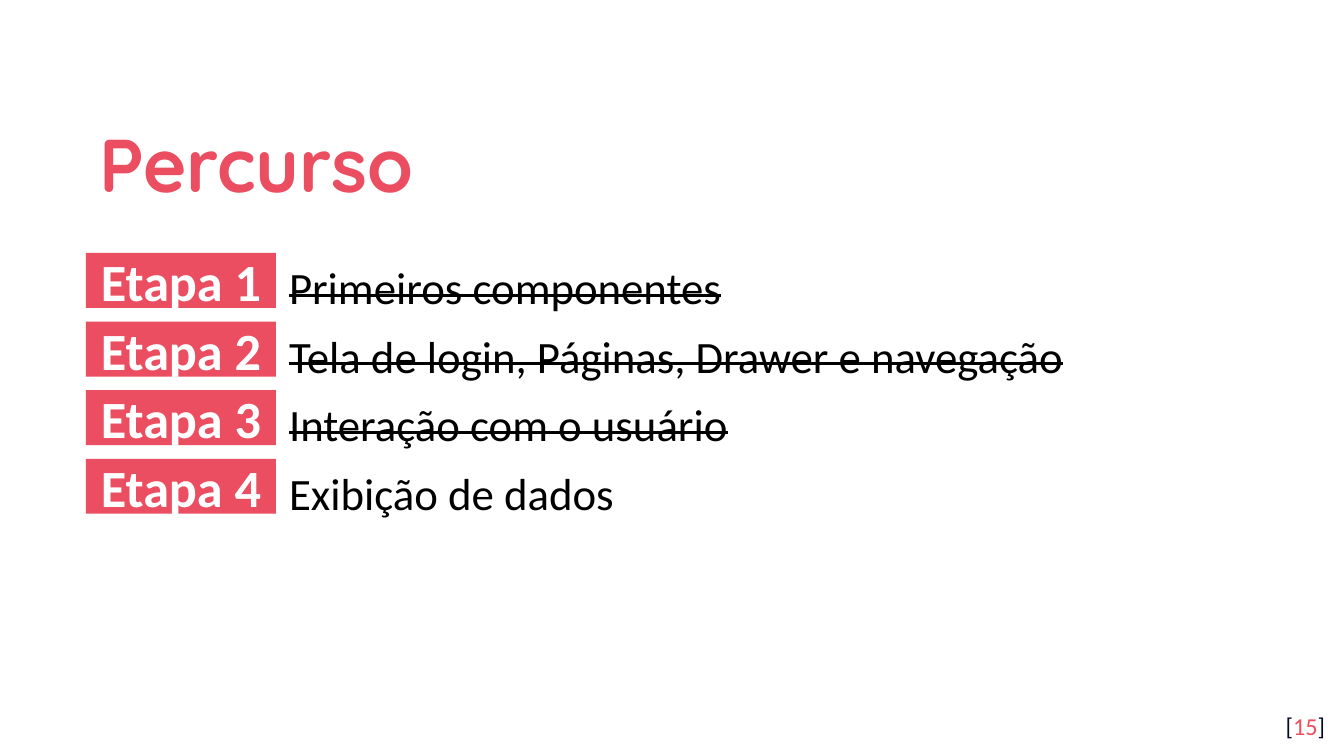
from pptx import Presentation
from pptx.dml.color import RGBColor
from pptx.enum.shapes import MSO_SHAPE
from pptx.enum.text import MSO_ANCHOR, PP_ALIGN
from pptx.util import Pt

SCALE = 914400 / 134.4
COLORS = {"coral": "EA4E60", "navy": "040A24", "black": "000000", "white": "FFFFFF"}
LEFT = 86
FIRST_TOP = 253
STAGE_PITCH = 68.6
BADGE_WIDTH = 190
STAGES = [
    ("Primeiros componentes", True),
    ("Tela de login, Páginas, Drawer e navegação", True),
    ("Interação com o usuário", True),
    ("Exibição de dados", False),
]


def px(value):
    return round(value * SCALE)


def color(name):
    return RGBColor.from_string(COLORS[name])


def write(frame, runs, size, font="Calibri", bold=False, align=PP_ALIGN.LEFT,
          anchor=MSO_ANCHOR.TOP, inset=13, wrap=True):
    frame.word_wrap = wrap
    frame.vertical_anchor = anchor
    frame.margin_left = frame.margin_right = px(13)
    frame.margin_top = frame.margin_bottom = px(inset)
    paragraph = frame.paragraphs[0]
    paragraph.alignment = align
    paragraph.font.name = font
    paragraph.font.size = Pt(size)
    paragraph.font.bold = bold
    for text, ink in runs:
        run = paragraph.add_run()
        run.text = text
        run.font.color.rgb = color(ink)
    return paragraph


def add_text(slide, box, runs, size, **style):
    frame = slide.shapes.add_textbox(*map(px, box)).text_frame
    return write(frame, runs, size, **style)


def add_badge(slide, top, label):
    badge = slide.shapes.add_shape(
        MSO_SHAPE.RECTANGLE, px(LEFT), px(top), px(BADGE_WIDTH), px(55))
    badge.shadow.inherit = False
    badge.fill.solid()
    badge.fill.fore_color.rgb = color("coral")
    badge.line.fill.background()
    write(badge.text_frame, [(label, "white")], 28, bold=True,
          align=PP_ALIGN.CENTER, anchor=MSO_ANCHOR.MIDDLE, wrap=False)


def add_stage(slide, index, topic, done):
    top = FIRST_TOP + index * STAGE_PITCH
    add_badge(slide, top, f"Etapa {index + 1}")
    description = add_text(slide, (LEFT + BADGE_WIDTH, top, 927, 58),
                           [(topic, "black")], 24, inset=7)
    if done:
        description.runs[0].font._element.set("strike", "sngStrike")


def main():
    deck = Presentation()
    deck.slide_width, deck.slide_height = px(1344), px(756)
    slide = deck.slides.add_slide(deck.slide_layouts[6])
    title = add_text(slide, (LEFT, 94, 1089, 124), [("Percurso", "coral")], 40,
                     font="Quicksand", bold=True, anchor=MSO_ANCHOR.MIDDLE)
    title.line_spacing = 1.15
    add_text(slide, (1258, 698, 80, 58),
             [("[", "navy"), ("15", "coral"), ("]", "navy")], 13,
             align=PP_ALIGN.RIGHT)
    for index, (topic, done) in enumerate(STAGES):
        add_stage(slide, index, topic, done)
    deck.save("out.pptx")


main()
